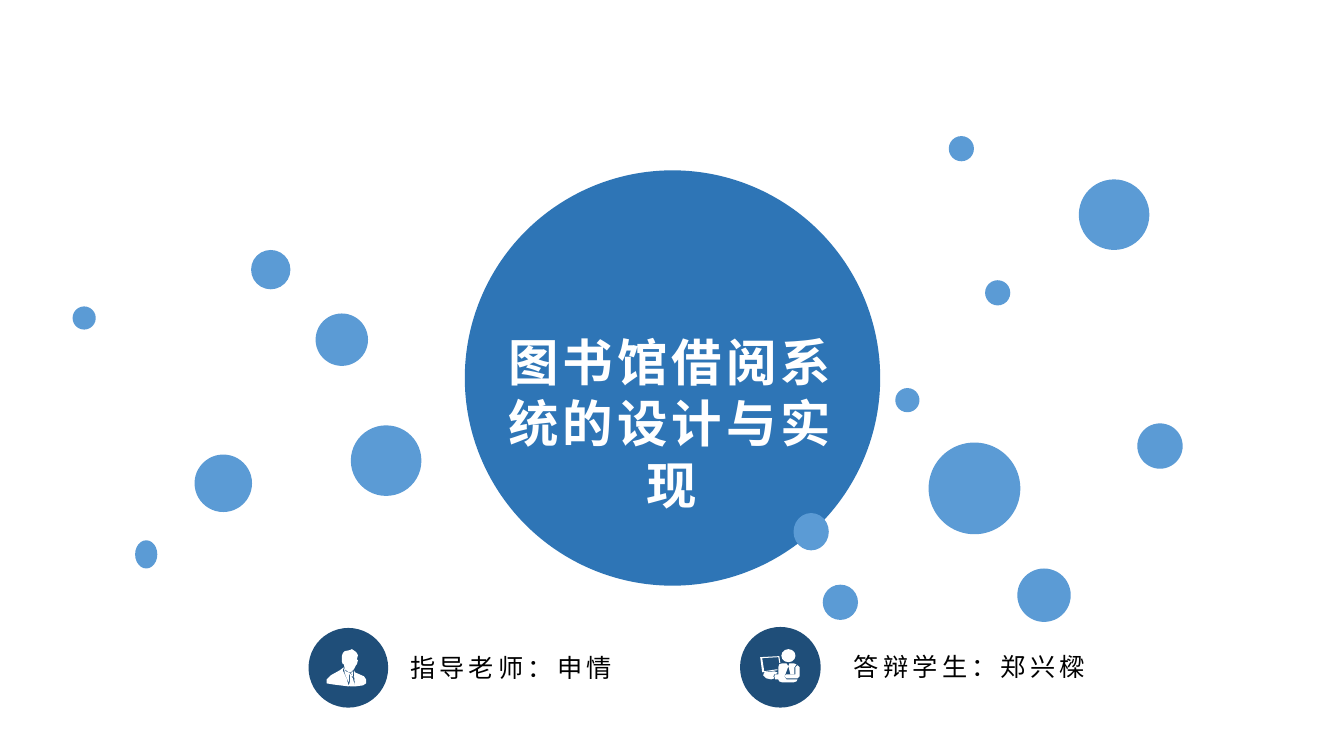
from lxml.etree import SubElement
from pptx import Presentation
from pptx.dml.color import RGBColor
from pptx.enum.shapes import MSO_SHAPE as Preset
from pptx.enum.text import MSO_AUTO_SIZE as AutoSize, PP_ALIGN as Align
from pptx.oxml.ns import qn
from pptx.util import Inches, Pt

CELL = Inches(0.01)
FONT = "Noto Sans CJK SC"
WHITE, BLACK = "FFFFFF", "000000"
MID_BLUE, LIGHT_BLUE, NAVY = "2E75B6", "5B9BD5", "1F4E79"

presentation = Presentation()
presentation.slide_width = 1333 * CELL
presentation.slide_height = 750 * CELL
slide = presentation.slides.add_slide(presentation.slide_layouts[6])


def paint(shape, color):
    shape.shadow.inherit = False
    shape.fill.solid()
    shape.fill.fore_color.rgb = RGBColor.from_string(color)
    shape.line.fill.background()


def add_text(text, left, top, width, height, size, color=BLACK, bold=False, align=Align.LEFT):
    box = slide.shapes.add_textbox(left * CELL, top * CELL, width * CELL, height * CELL)
    frame = box.text_frame
    frame.word_wrap = True
    frame.auto_size = AutoSize.SHAPE_TO_FIT_TEXT
    paragraph = frame.paragraphs[0]
    paragraph.alignment = align
    paragraph.line_spacing = Pt(round(size * 1.22))
    run = paragraph.add_run()
    run.text = text
    run.font.size = Pt(size)
    run.font.bold = bold
    run.font.color.rgb = RGBColor.from_string(color)
    run.font.name = FONT
    properties = run.font._element
    properties.set("spc", "300")
    SubElement(properties, qn("a:ea"), typeface=FONT)


title_circle = slide.shapes.add_shape(Preset.OVAL, 461 * CELL, 169 * CELL, 412 * CELL, 412 * CELL)
paint(title_circle, MID_BLUE)
add_text("图书馆借阅系统的设计与实现", 475, 322, 383, 192, 36,
         color=WHITE, bold=True, align=Align.CENTER)

bubbles = [
    (134, 536, 22, 28), (193, 451, 57, 57), (348, 422, 70, 70), (72, 304, 23, 23),
    (313, 311, 52, 52), (249, 248, 39, 39), (888, 385, 24, 24), (1070, 178, 70, 70),
    (816, 580, 35, 35), (787, 509, 35, 37), (977, 278, 25, 25), (921, 439, 91, 91),
    (941, 135, 25, 25), (1128, 420, 45, 45), (1009, 564, 53, 53),
]
for bubble in bubbles:
    paint(slide.shapes.add_shape(Preset.OVAL, *[length * CELL for length in bubble]), LIGHT_BLUE)

teacher_outlines = [[
    [(347, 668), (348, 669), (348, 670), (350, 673), (351, 677), (352, 681), (347, 681),
     (346, 680), (347, 676), (347, 670)],
    [(350, 666), (350, 671), (351, 672), (348, 670), (349, 669), (348, 668)],
    [(351, 665), (352, 667), (361, 671), (363, 674), (363, 678), (360, 680), (352, 681), (351, 668)],
    [(341, 663), (343, 666), (347, 668), (346, 670), (346, 677), (344, 673), (342, 668)],
    [(341, 662), (340, 665), (344, 674), (346, 681), (330, 679), (324, 678), (324, 674),
     (328, 670), (337, 665)],
    [(349, 644), (352, 646), (354, 648), (355, 650), (354, 654), (355, 655), (354, 659),
     (353, 660), (351, 664), (348, 667), (346, 667), (342, 664), (341, 659), (340, 659),
     (339, 656), (339, 651), (340, 648), (342, 646), (347, 645)],
]]
student_outlines = [
    [[(773, 651), (774, 658), (773, 658), (772, 652), (756, 653), (758, 666), (771, 664),
      (771, 665), (756, 667), (754, 652)]],
    [[(768, 666), (771, 667), (771, 668), (768, 669), (767, 671), (768, 673), (765, 674),
      (760, 673), (757, 670), (758, 667)]],
    [[(783, 658), (787, 658), (790, 659), (788, 662), (788, 669), (784, 669), (782, 661)],
     [(776, 658), (780, 658), (782, 661), (779, 669), (778, 671), (780, 674), (791, 674),
      (790, 676), (787, 677), (776, 677), (773, 676), (772, 674), (769, 674), (768, 671),
      (769, 669), (772, 669), (772, 662), (773, 659)]],
    [[(791, 660), (793, 662), (793, 671), (791, 673), (780, 673), (778, 671), (780, 669),
      (789, 669), (789, 662)]],
]
student_head = (775, 644, 14, 13)
badges = [
    ((306, 623, 79, 79), teacher_outlines, []),
    ((734, 622, 80, 80), student_outlines, [student_head]),
]
for disc, outlines, heads in badges:
    badge = slide.shapes.add_group_shape().shapes
    for oval, color in [(disc, NAVY)] + [(head, WHITE) for head in heads]:
        paint(badge.add_shape(Preset.OVAL, *[length * CELL for length in oval]), color)
    for contours in outlines:
        builder = badge.build_freeform(*contours[0][0], scale=CELL)
        for contour in contours:
            if contour is not contours[0]:
                builder.move_to(*contour[0])
            builder.add_line_segments(contour[1:], close=True)
        paint(builder.convert_to_shape(), WHITE)

add_text("指导老师：申情", 397, 642, 237, 40, 18)
add_text("答辩学生：郑兴樑", 837, 641, 331, 40, 18)

presentation.save("out.pptx")
